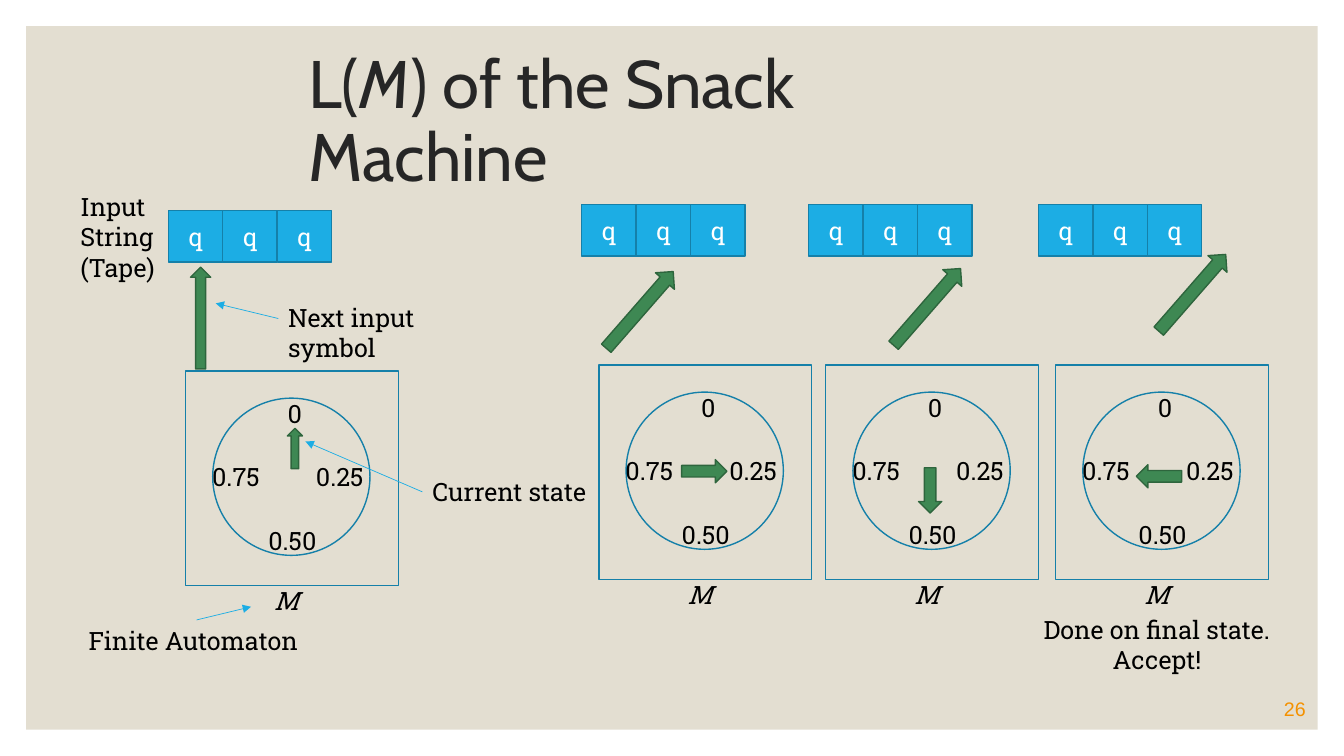
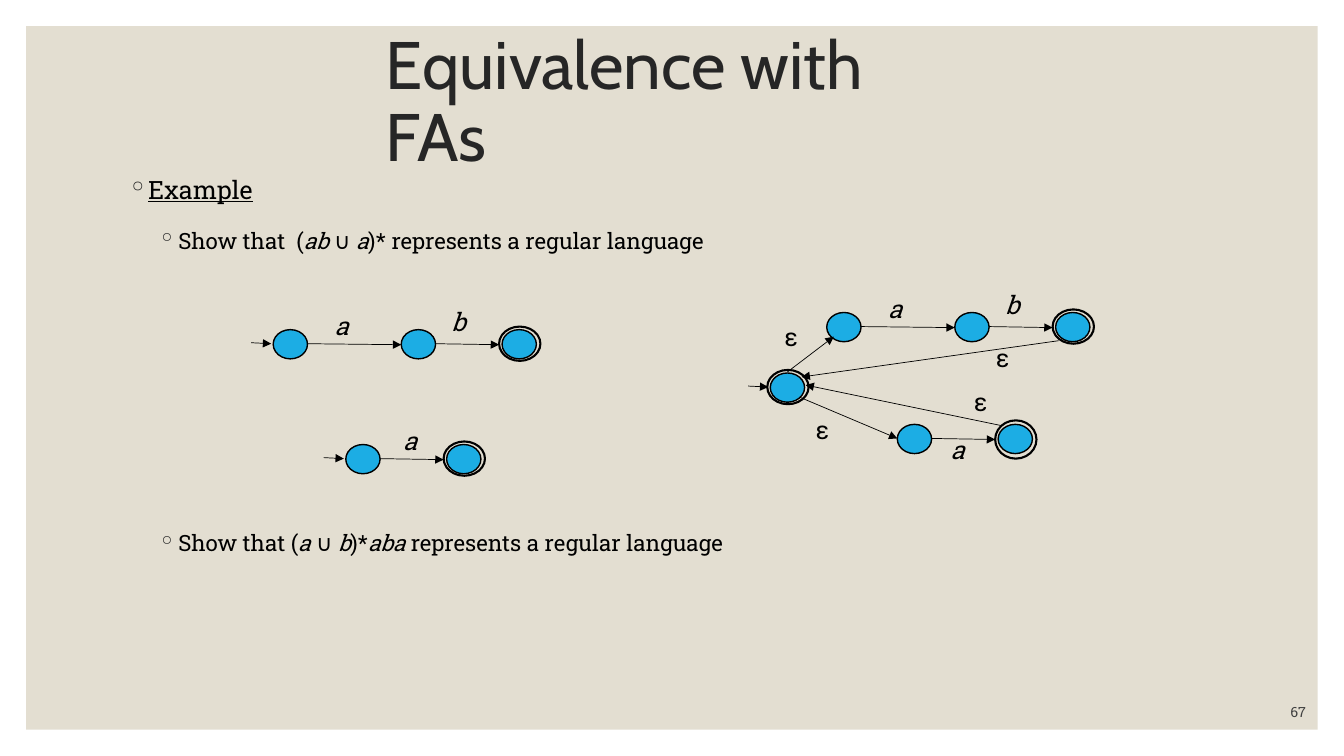
"""Builds two lecture slides on finite automata."""
from dataclasses import dataclass

from lxml.etree import SubElement
from pptx import Presentation
from pptx.dml.color import RGBColor
from pptx.enum.shapes import MSO_CONNECTOR as Conn, MSO_SHAPE as Shape
from pptx.enum.text import MSO_ANCHOR as Anchor, PP_ALIGN as Align
from pptx.oxml.ns import qn
from pptx.util import Inches, Pt


@dataclass(frozen=True)
class Theme:
    """Colours, fonts and sizes."""
    panel: str = "E3DED1"
    ink: str = "262626"
    black: str = "000000"
    white: str = "FFFFFF"
    blue: str = "1CADE4"
    blue_line: str = "1580A9"
    green: str = "3E8853"
    green_line: str = "2E653D"
    orange: str = "F49100"
    grey: str = "404040"
    head: str = "Cabin"
    body: str = "Roboto Slab"
    plain: str = "Arial"
    title_size: int = 48
    text_size: int = 18
    item_size: int = 16


T = Theme()
WIDTH, HEIGHT, MARGIN = 13.33, 7.5, 0.26

BOX = (2.11, 2.13)
CELL = (0.54, 0.51)
DIAL = (0.27, 0.27, 1.56, 1.56)
TAPE_AT = (-0.17, -1.59)
TAPE = "qqq"
COINS = [("0", 0.89, 0.27, 0.39), ("0.25", 1.28, 0.9, 0.5),
         ("0.50", 0.81, 1.53, 0.5), ("0.75", 0.25, 0.9, 0.5)]
MACHINES = [
    dict(at=(1.84, 3.68), hand=(1.01, 0.57, 0.15, 0.4, 0),
         reader=(0.05, -1.03, 0.2, 1.01, 0)),
    dict(at=(5.94, 3.62), hand=(0.93, 0.83, 0.23, 0.45, 90),
         reader=(0.28, -1.05, 0.25, 1.01, 41.1)),
    dict(at=(8.19, 3.62), hand=(0.92, 1.02, 0.23, 0.45, 180),
         reader=(0.88, -1.08, 0.25, 1.01, 41.1)),
    dict(at=(10.47, 3.62), hand=(0.91, 0.88, 0.23, 0.45, 270),
         reader=(1.23, -1.22, 0.25, 1.01, 41.1)),
]
NOTES = [
    ((0.7, 1.85, 2.33, 1.01), ["Input", "String", "(Tape)"], Align.LEFT),
    ((2.76, 2.95, 2.37, 0.4), ["Next input symbol"], Align.LEFT),
    ((4.19, 4.68, 1.82, 0.4), ["Current state"], Align.LEFT),
    ((0.78, 6.15, 2.33, 0.4), ["Finite Automaton"], Align.LEFT),
    ((10.04, 6.04, 2.87, 0.71), ["Done on final state. Accept!"], Align.CENTER),
]
POINTERS = [(1.95, 6.15, 2.49, 6.02), (4.19, 4.88, 3.03, 4.38),
            (2.76, 3.16, 2.14, 3.01)]

STATE = (0.34, 0.29)
RING_GAP, RING = 0.03, (0.41, 0.34)
AB_STEPS, A_STEPS = (0, 1.27, 2.27), (0, 1)
AB_LABELS = [("a", 0.51, -0.24), ("b", 1.67, -0.28)]
CHAINS = [
    dict(at=(2.71, 3.27), steps=AB_STEPS, labels=AB_LABELS, start=True),
    dict(at=(3.43, 4.41), steps=A_STEPS, labels=[("a", 0.47, -0.24)], start=True),
    dict(at=(8.2, 3.1), steps=AB_STEPS, labels=AB_LABELS),
    dict(at=(8.9, 4.21), steps=A_STEPS, labels=[("a", 0.43, 0.05)], extra=0.02),
    dict(at=(7.64, 3.7), steps=(0,), labels=[], start=True),
]
EPSILON_EDGES = [(7.93, 3.94, 8.9, 4.35), (7.81, 3.69, 8.27, 3.34),
                 (10.5, 3.38, 7.95, 3.74), (9.92, 4.22, 7.99, 3.82)]
EPSILONS = [(7.99, 4.06), (7.68, 3.14), (9.56, 3.78), (9.78, 3.35)]
BULLETS = [
    dict(runs=["Example"], indent=0.2, size=T.text_size, before=0, underline=True),
    dict(runs=["Show that  (", ("ab ",), "∪ ", ("a",),
               ")* represents a regular language"],
         indent=0.5, size=T.item_size, before=18),
    dict(runs=["Show that (", ("a ",), "∪ ", ("b",), ")*", ("aba",),
               " represents a regular language"],
         indent=0.5, size=T.item_size, before=199),
]


def rgb(value):
    """Turn a hex string into a colour."""
    return RGBColor.from_string(value)


def add_runs(p, runs, size=T.text_size, color=T.black, font=T.body, underline=None):
    """Add runs to a paragraph; a run given as a tuple is italic."""
    for run in runs:
        r = p.add_run()
        r.text = run[0] if isinstance(run, tuple) else run
        r.font.size, r.font.name = Pt(size), font
        r.font.color.rgb = rgb(color)
        r.font.italic = isinstance(run, tuple)
        r.font.underline = underline


def add_text(s, box, paragraphs, align=Align.LEFT, anchor=Anchor.TOP,
             inset=None, spacing=None, **style):
    """Add a wrapping text box; each paragraph is a list of runs."""
    tf = s.shapes.add_textbox(*map(Inches, box)).text_frame
    tf.word_wrap, tf.vertical_anchor = True, anchor
    if inset is not None:
        tf.margin_left = tf.margin_right = Inches(inset)
        tf.margin_top = tf.margin_bottom = Inches(inset)
    for i, runs in enumerate(paragraphs):
        p = tf.add_paragraph() if i else tf.paragraphs[0]
        p.alignment = align
        if spacing:
            p.line_spacing = spacing
        add_runs(p, runs, **style)


def add_shape(s, kind, box, fill=None, line=None, weight=1, rotation=0):
    """Add a flat preset shape."""
    sp = s.shapes.add_shape(kind, *map(Inches, box))
    sp.shadow.inherit = False
    sp.rotation = rotation
    if fill:
        sp.fill.solid()
        sp.fill.fore_color.rgb = rgb(fill)
    else:
        sp.fill.background()
    if line:
        sp.line.color.rgb, sp.line.width = rgb(line), Pt(weight)
    else:
        sp.line.fill.background()
    return sp


def add_arrow(s, ends, color):
    """Add a thin straight arrow."""
    line = s.shapes.add_connector(Conn.STRAIGHT, *map(Inches, ends))
    line.line.color.rgb, line.line.width = rgb(color), Pt(0.5)
    SubElement(line.line._get_or_add_ln(), qn("a:tailEnd"), type="triangle")
    SubElement(line._element.spPr, qn("a:effectLst"))


def add_slide(prs, title_box, title, number, **number_style):
    """Add a slide with the panel, title and page number."""
    s = prs.slides.add_slide(prs.slide_layouts[6])
    add_shape(s, Shape.RECTANGLE, (MARGIN, MARGIN, WIDTH - 2 * MARGIN,
                                   HEIGHT - 2 * MARGIN), T.panel)
    add_text(s, title_box, [title], anchor=Anchor.MIDDLE, spacing=0.9,
             size=T.title_size, color=T.ink, font=T.head)
    add_text(s, (11.45, 6.9, 1.6, 0.3), [[number]], Align.RIGHT, Anchor.BOTTOM,
             **number_style)
    return s


def add_machine(s, at, hand, reader):
    """Draw a tape, a dial in its box, and the two block arrows."""
    x, y = at
    w, h = CELL
    for i, symbol in enumerate(TAPE):
        cell = add_shape(s, Shape.RECTANGLE,
                         (x + TAPE_AT[0] + i * w, y + TAPE_AT[1], w, h),
                         T.blue, T.blue_line)
        tf = cell.text_frame
        tf.vertical_anchor = Anchor.MIDDLE
        p = tf.paragraphs[0]
        p.alignment = Align.CENTER
        add_runs(p, [symbol], color=T.white)
    add_shape(s, Shape.RECTANGLE, (x, y, *BOX), line=T.blue_line)
    dx, dy, *size = DIAL
    add_shape(s, Shape.OVAL, (x + dx, y + dy, *size), line=T.blue_line)
    add_text(s, (x + 0.08, y + 2.08, 1.84, 0.4), [[("M",)]], Align.CENTER)
    for coin, dx, dy, width in COINS:
        add_text(s, (x + dx, y + dy, width, 0.3), [[coin]], Align.CENTER, inset=0)
    for dx, dy, *size, turn in (hand, reader):
        add_shape(s, Shape.UP_ARROW, (x + dx, y + dy, *size), T.green,
                  T.green_line, rotation=turn)


def add_chain(s, at, steps, labels, start=False, extra=0):
    """Draw a row of states joined by arrows, the last one accepting."""
    x, y = at
    w, h = STATE
    for step in steps:
        add_shape(s, Shape.OVAL, (x + step, y, w, h), T.blue, T.black)
    add_shape(s, Shape.OVAL, (x + steps[-1] - RING_GAP, y - RING_GAP - extra / 2,
                              RING[0], RING[1] + 2 * extra),
              line=T.black, weight=1.5)
    for left, right in zip(steps, steps[1:]):
        gap = RING_GAP if right == steps[-1] else 0
        add_arrow(s, (x + left + w, y + 0.14, x + right - gap, y + 0.15), T.black)
    if start:
        add_arrow(s, (x - 0.22, y + 0.13, x - 0.02, y + 0.14), T.black)
    for symbol, dx, dy in labels:
        add_text(s, (x + dx, y + dy, 0.27, 0.4), [[(symbol,)]])


def add_bullets(s, box, items):
    """Add the bulleted list."""
    tf = s.shapes.add_textbox(*map(Inches, box)).text_frame
    tf.word_wrap = True
    for i, item in enumerate(items):
        p = tf.add_paragraph() if i else tf.paragraphs[0]
        pPr = p._p.get_or_add_pPr()
        pPr.set("marL", str(Inches(item["indent"])))
        pPr.set("indent", str(Inches(-0.2)))
        SubElement(SubElement(pPr, qn("a:buClr")), qn("a:srgbClr"), val=T.ink)
        SubElement(pPr, qn("a:buChar"), char="◦")
        p.line_spacing, p.space_before = 0.9, Pt(item["before"])
        add_runs(p, item["runs"], item["size"], underline=item.get("underline"))


def snack_slide(prs):
    """Build the snack machine slide."""
    s = add_slide(prs, (2.96, 0.67, 7.43, 1.11),
                  ["L(", ("M",), ") of the Snack Machine"], "26",
                  size=14, color=T.orange, font=T.plain)
    for machine in MACHINES:
        add_machine(s, **machine)
    for box, lines, align in NOTES:
        add_text(s, box, [[line] for line in lines], align)
    for ends in POINTERS:
        add_arrow(s, ends, T.blue)


def equivalence_slide(prs):
    """Build the regular expression slide."""
    s = add_slide(prs, (3.73, 0.56, 5.84, 0.94), ["Equivalence with FAs"], "67",
                  size=10, color=T.grey)
    add_bullets(s, (1.17, 1.71, 11, 4.3), BULLETS)
    for chain in CHAINS:
        add_chain(s, **chain)
    for ends in EPSILON_EDGES:
        add_arrow(s, ends, T.black)
    for x, y in EPSILONS:
        add_text(s, (x, y, 0.31, 0.4), [["ε"]])


def main():
    """Build and save the slides."""
    prs = Presentation()
    prs.slide_width, prs.slide_height = Inches(WIDTH), Inches(HEIGHT)
    snack_slide(prs)
    equivalence_slide(prs)
    prs.save("out.pptx")


if __name__ == "__main__":
    main()
